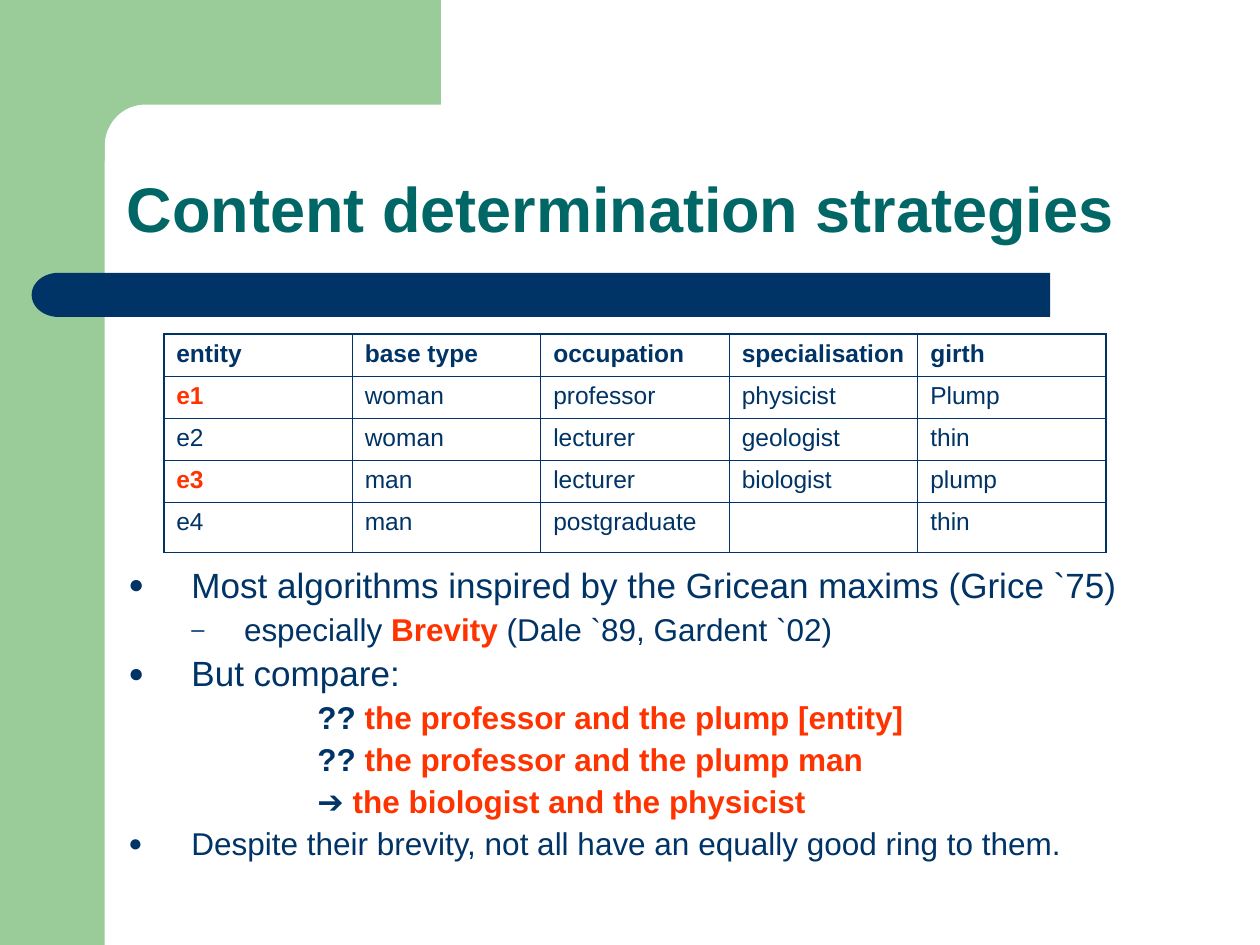
from math import cos, pi, sin

from lxml import etree
from pptx import Presentation
from pptx.dml.color import RGBColor
from pptx.enum import shapes, text
from pptx.oxml import ns
from pptx.util import Cm, Pt

GREEN, NAVY, TEAL, RED = "99CC99", "003366", "006666", "FF3300"
FONT = "Arial"

TITLE = "Content determination strategies"
ROWS = [
    ("entity", "base type", "occupation", "specialisation", "girth"),
    ("e1", "woman", "professor", "physicist", "Plump"),
    ("e2", "woman", "lecturer", "geologist", "thin"),
    ("e3", "man", "lecturer", "biologist", "plump"),
    ("e4", "man", "postgraduate", "", "thin"),
]
TARGETS = ("e1", "e3")
# Each line: kind, size, spans of (text, colour, bold)
LINES = [
    ("point", 20, [("Most algorithms inspired by the Gricean maxims (Grice `75)", NAVY, False)]),
    ("subpoint", 18, [("especially ", NAVY, False), ("Brevity", RED, True),
                      (" (Dale `89, Gardent `02)", NAVY, False)]),
    ("point", 20, [("But compare:", NAVY, False)]),
    ("example", 18, [("??", NAVY, True), (" the professor and the plump [entity]", RED, True)]),
    ("example", 18, [("??", NAVY, True), (" the professor and the plump man", RED, True)]),
    ("example", 18, [("➔ ", NAVY, True), ("the biologist and the physicist", RED, True)]),
    ("point", 18, [("Despite their brevity, not all have an equally good ring to them.", NAVY, False)]),
]
# Kind: left margin, first-line indent, bullet
KINDS = {
    "point": (Cm(1.27), Cm(-1.27), "●"),
    "subpoint": (Cm(2.33), Cm(-1.06), "–"),
    "example": (Cm(3.81), 0, None),
}


def rgb(colour):
    return RGBColor.from_string(colour)


def paint(shape, colour):
    shape.shadow.inherit = False
    shape.fill.solid()
    shape.fill.fore_color.rgb = rgb(colour)
    shape.line.fill.background()
    return shape


def style(font, size, colour, bold):
    font.name, font.size, font.bold = FONT, Pt(size), bold
    font.color.rgb = rgb(colour)


def add_block(slide, kind, left, top, width, height, colour):
    block = slide.shapes.add_shape(kind, Cm(left), Cm(top), Cm(width), Cm(height))
    return paint(block, colour)


def add_box(slide, left, top, width, height):
    box = slide.shapes.add_textbox(Cm(left), Cm(top), Cm(width), Cm(height))
    box.text_frame.word_wrap = True
    return box.text_frame


def add_child(parent, tag, **attributes):
    return etree.SubElement(parent, ns.qn(tag), **attributes)


def set_bullet(para, margin, indent, bullet):
    props = para._p.get_or_add_pPr()
    props.set("marL", str(margin))
    props.set("indent", str(indent))
    if bullet is None:
        add_child(props, "a:buNone")
        return
    add_child(add_child(props, "a:buClr"), "a:srgbClr", val=NAVY)
    add_child(props, "a:buSzPct", val="75000")
    add_child(props, "a:buFont", typeface=FONT)
    add_child(props, "a:buChar", char=bullet)


def set_borders(cell, outer_sides):
    props = cell._tc.get_or_add_tcPr()
    for side in "LRTB":
        width = Pt(1.08 if side in outer_sides else 0.45)
        line = add_child(props, f"a:ln{side}", w=str(width))
        add_child(add_child(line, "a:solidFill"), "a:srgbClr", val=NAVY)


def add_decor(slide):
    add_block(slide, shapes.MSO_SHAPE.RECTANGLE, 0, 0, 2.11, 19.05, GREEN)

    # Top band whose inner corner is a quarter ellipse
    centre_x, centre_y, radius_x, radius_y, steps = 2.92, 2.95, 0.81, 0.84, 24
    curve = [(centre_x - radius_x * sin(pi / 2 * i / steps),
              centre_y - radius_y * cos(pi / 2 * i / steps)) for i in range(steps + 1)]
    outline = [(8.89, 0), (8.89, 2.11), *curve, (2.11, 3.25), (1.27, 3.25), (1.27, 0)]
    points = [(Cm(x), Cm(y)) for x, y in outline]
    builder = slide.shapes.build_freeform(*points[0], scale=1.0)
    builder.add_line_segments(points[1:], close=True)
    paint(builder.convert_to_shape(), GREEN)

    add_block(slide, shapes.MSO_SHAPE.RECTANGLE, 1.7, 5.5, 19.47, 0.89, NAVY)
    cap = add_block(slide, shapes.MSO_SHAPE.FLOWCHART_DELAY, 0.64, 5.5, 1.08, 0.89, NAVY)
    cap.element.spPr.xfrm.set("flipH", "1")


def add_title(slide):
    frame = add_box(slide, 2.31, 2.31, 21.62, 2.77)
    frame.vertical_anchor = text.MSO_ANCHOR.BOTTOM
    frame.text = TITLE
    para = frame.paragraphs[0]
    para.line_spacing = 0.9
    style(para.runs[0].font, 36, TEAL, True)


def add_body(slide):
    frame = add_box(slide, 2.34, 11.33, 21.97, 6.81)
    for index, (kind, size, spans) in enumerate(LINES):
        para = frame.add_paragraph() if index else frame.paragraphs[0]
        set_bullet(para, *KINDS[kind])
        para.level = 1 if kind == "subpoint" else 0
        para.line_spacing = 0.9
        para.space_before = Pt(size / 4 if index else 0)
        for words, colour, bold in spans:
            span = para.add_run()
            span.text = words
            style(span.font, size, colour, bold)


def add_entity_table(slide):
    last_row, last_column = len(ROWS) - 1, len(ROWS[0]) - 1
    table = slide.shapes.add_table(len(ROWS), len(ROWS[0]), Cm(3.3), Cm(6.73),
                                   Cm(19), Cm(4.33)).table
    table.first_row = table.horz_banding = False
    for column in table.columns:
        column.width = Cm(3.8)
    for r, values in enumerate(ROWS):
        table.rows[r].height = Cm(0.97 if r == last_row else 0.84)
        for c, value in enumerate(values):
            cell = table.cell(r, c)
            edges = {"L": c == 0, "R": c == last_column, "T": r == 0, "B": r == last_row}
            set_borders(cell, [side for side, outer in edges.items() if outer])
            cell.fill.background()
            if value:
                cell.text = value
                target = value in TARGETS
                style(cell.text_frame.paragraphs[0].runs[0].font, 14,
                      RED if target else NAVY, target or r == 0)


def main():
    deck = Presentation()
    deck.slide_width, deck.slide_height = Cm(25.4), Cm(19.05)
    slide = deck.slides.add_slide(deck.slide_layouts[6])
    add_decor(slide)
    add_title(slide)
    add_body(slide)
    add_entity_table(slide)
    deck.save("out.pptx")


if __name__ == "__main__":
    main()
